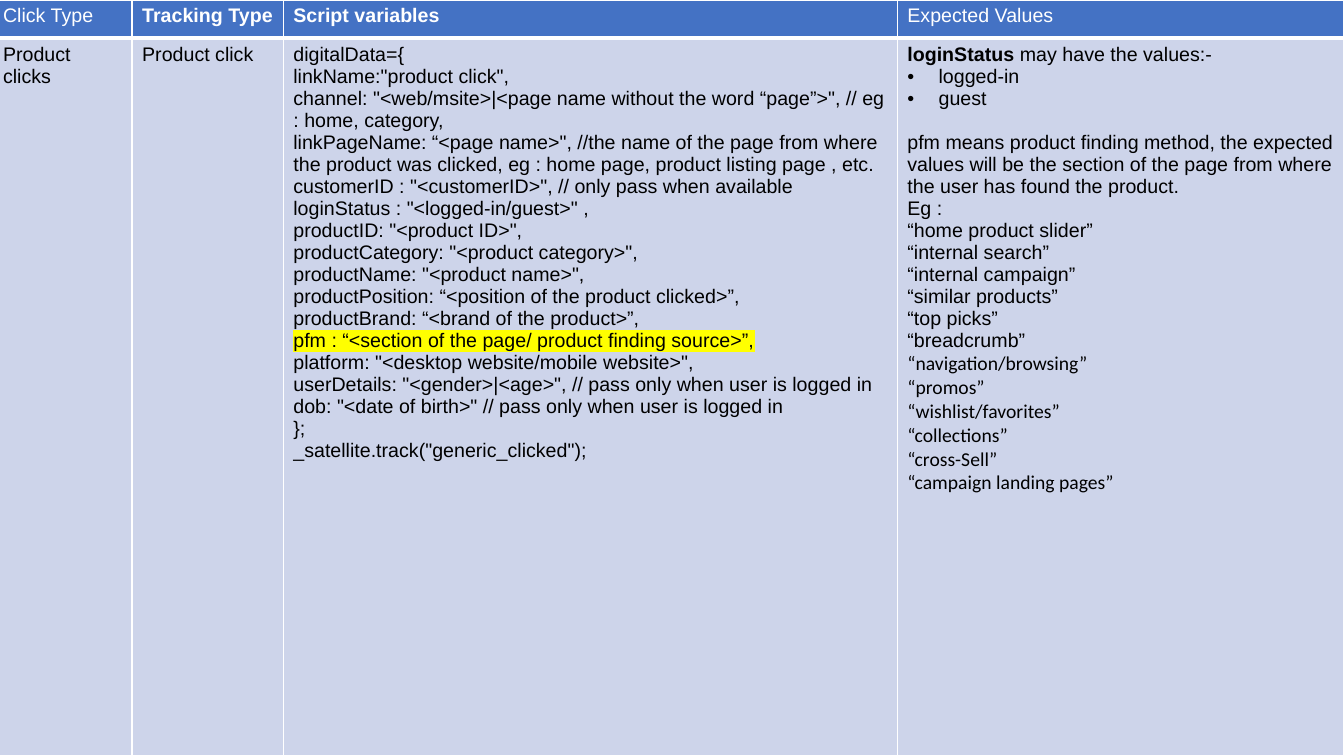
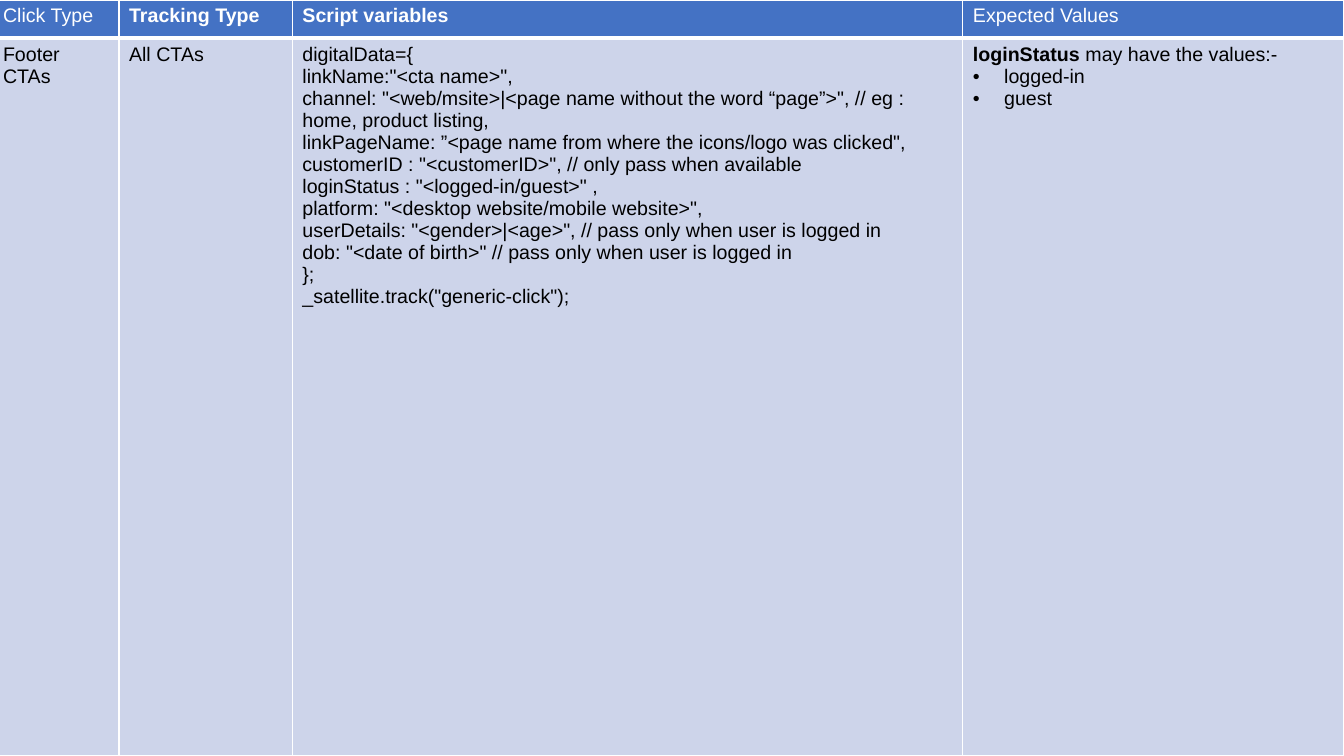
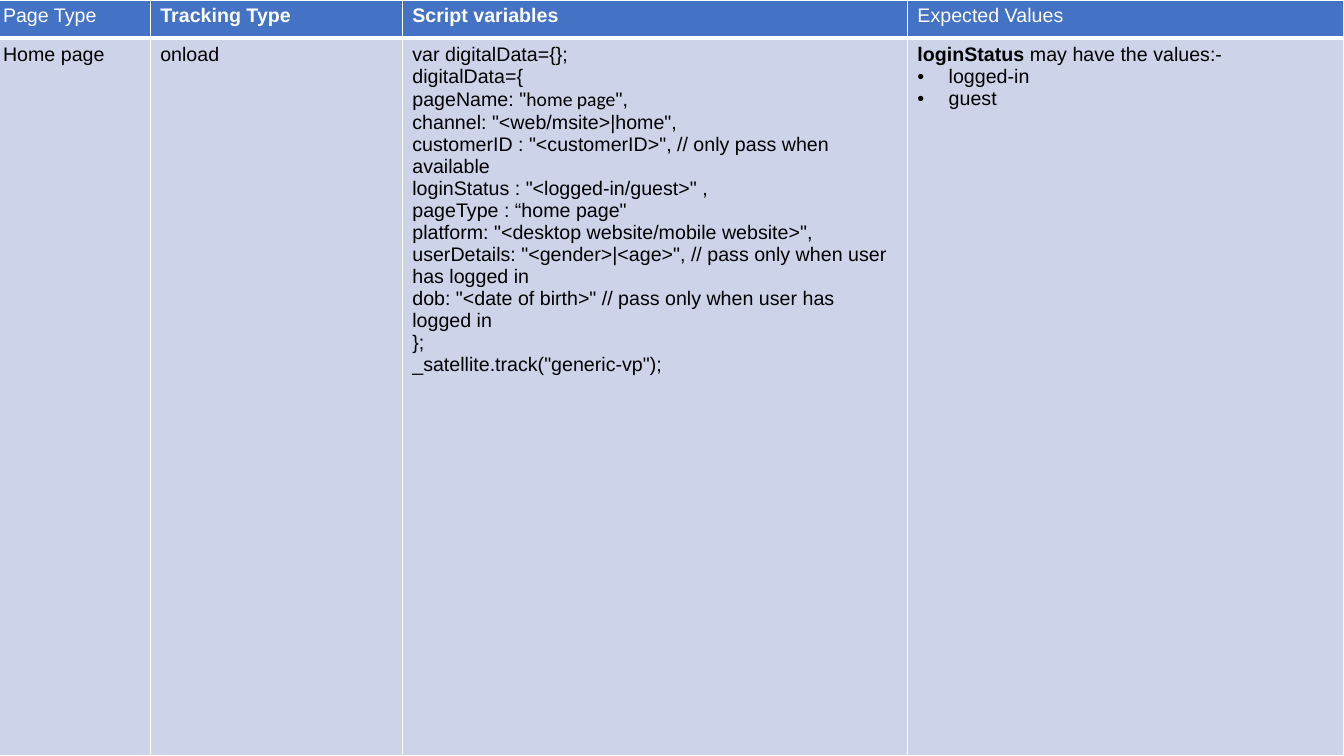
from dataclasses import dataclass

from lxml.etree import SubElement
from pptx import Presentation
from pptx.dml.color import RGBColor
from pptx.oxml import parse_xml
from pptx.oxml.ns import nsdecls, qn
from pptx.util import Pt

PX = 9144  # EMU in one px, 100 px to the inch
SLIDE_WIDTH, SLIDE_HEIGHT = 1333, 750
TABLE_BOX = (-7, 0, 1340, 750)
HEADER_HEIGHT = 38
BULLET_INDENT = 31

WHITE, BLACK = "FFFFFF", "000000"
HEADER_FILL, BODY_FILL = "4472C4", "CDD4EA"
MARKER = "FFFF00"
TEXT_FONT, ALTERNATE_FONT = "Arial", "Calibri"
TEXT_SIZE = 14
THIN, THICK = 1, 3


@dataclass
class Span:
    text: str
    bold: bool = False
    font: str = TEXT_FONT
    highlight: str = ""


@dataclass
class Line:
    spans: list
    bullet: bool = False
    space_before: int = 0


def plain(*texts, font=TEXT_FONT):
    return [Line([Span(text, font=font)]) for text in texts]


def visitor_lines(state):
    """Lines on platform and user; state is the verb before 'logged in'."""
    return plain(
        'platform: "<desktop website/mobile website>",',
        f'userDetails: "<gender>|<age>", // pass only when user {state} logged in',
        f'dob: "<date of birth>" // pass only when user {state} logged in',
        "};",
    )


ACCOUNT_LINES = plain(
    'customerID : "<customerID>", // only pass when available',
    'loginStatus : "<logged-in/guest>" ,',
)
LOGIN_VALUES = [
    Line([Span("loginStatus ", bold=True), Span("may have the values:-")]),
    Line([Span("logged-in")], bullet=True),
    Line([Span("guest")], bullet=True),
]

PRODUCT_VARIABLES = [
    *plain(
        "digitalData={",
        'linkName:"product click",',
        'channel: "<web/msite>|<page name without the word “page”>", // eg : home, category,',
        'linkPageName: “<page name>", //the name of the page from where the product '
        "was clicked, eg : home page, product listing page , etc.",
    ),
    *ACCOUNT_LINES,
    *plain(
        'productID: "<product ID>",',
        'productCategory: "<product category>",',
        'productName: "<product name>",',
        "productPosition: “<position of the product clicked>”,",
        "productBrand: “<brand of the product>”,",
    ),
    Line([Span("pfm : “<section of the page/ product finding source>”,", highlight=MARKER)]),
    *visitor_lines("is"),
    *plain('_satellite.track("generic_clicked");'),
]
FINDING_METHODS = [
    Line(
        [Span("pfm means product finding method, the expected values will be the section "
              "of the page from where the user has found the product.")],
        space_before=16,
    ),
    *plain(
        "Eg :",
        "“home product slider”",
        "“internal search”",
        "“internal campaign”",
        "“similar products”",
        "“top picks”",
        "“breadcrumb”",
    ),
    *plain(
        "“navigation/browsing”",
        "“promos”",
        "“wishlist/favorites”",
        "“collections”",
        "“cross-Sell”",
        "“campaign landing pages”",
        font=ALTERNATE_FONT,
    ),
]
FOOTER_VARIABLES = [
    *plain(
        "digitalData={",
        'linkName:"<cta name>",',
        'channel: "<web/msite>|<page name without the word “page”>", '
        "// eg : home, product listing,",
        'linkPageName: ”<page name from where the icons/logo was clicked",',
    ),
    *ACCOUNT_LINES,
    *visitor_lines("is"),
    *plain('_satellite.track("generic-click");'),
]
HOME_VARIABLES = [
    *plain("var digitalData={};", "digitalData={"),
    Line([Span('pageName: "'), Span("home page", font=ALTERNATE_FONT), Span('",')]),
    *plain('channel: "<web/msite>|home",'),
    *ACCOUNT_LINES,
    *plain('pageType : “home page"'),
    *visitor_lines("has"),
    *plain('_satellite.track("generic-vp");'),
]

# first heading, widths of all columns but the last, body cells
PAGES = [
    ("Click Type", (138, 150, 609),
     [plain("Product clicks"), plain("Product click"), PRODUCT_VARIABLES,
      LOGIN_VALUES + FINDING_METHODS]),
    ("Click Type", (125, 172, 665),
     [plain("Footer CTAs"), plain("All CTAs"), FOOTER_VARIABLES, LOGIN_VALUES]),
    ("Page Type", (156, 250, 501),
     [plain("Home page"), plain("onload"), HOME_VARIABLES, LOGIN_VALUES]),
]


def rgb(value):
    return RGBColor.from_string(value)


def add_bullet(para):
    properties = para._p.get_or_add_pPr()
    properties.set("marL", str(BULLET_INDENT * PX))
    properties.set("indent", str(-BULLET_INDENT * PX))
    color = SubElement(properties, qn("a:buClr"))
    SubElement(color, qn("a:srgbClr"), val=BLACK)
    SubElement(properties, qn("a:buFont"), typeface=TEXT_FONT)
    SubElement(properties, qn("a:buChar"), char="•")


def add_span(para, span, color):
    run = para.add_run()
    run.text = span.text
    run.font.size = Pt(TEXT_SIZE)
    run.font.bold = span.bold
    run.font.color.rgb = rgb(color)
    run.font.name = span.font
    if span.highlight:
        run._r.rPr.find(qn("a:solidFill")).addnext(parse_xml(
            f'<a:highlight {nsdecls("a")}><a:srgbClr val="{span.highlight}"/></a:highlight>'))


def set_borders(cell, top, bottom):
    properties = cell._tc.get_or_add_tcPr()
    for side, width in (("L", THIN), ("R", THIN), ("T", top), ("B", bottom)):
        properties.append(parse_xml(
            f'<a:ln{side} {nsdecls("a")} w="{Pt(width)}"><a:solidFill>'
            f'<a:srgbClr val="{WHITE}"/></a:solidFill></a:ln{side}>'))


def fill_cell(cell, lines, color, fill, top, bottom):
    set_borders(cell, top, bottom)
    cell.fill.solid()
    cell.fill.fore_color.rgb = rgb(fill)
    frame = cell.text_frame
    for index, line in enumerate(lines):
        para = frame.add_paragraph() if index else frame.paragraphs[0]
        if line.space_before:
            para.space_before = Pt(line.space_before)
        if line.bullet:
            add_bullet(para)
        for span in line.spans:
            add_span(para, span, color)


def add_tracking_table(page, box, first_heading, widths, body):
    left, top, width, height = box
    table = page.shapes.add_table(
        2, len(body), left * PX, top * PX, width * PX, height * PX).table
    table.first_row = table.horz_banding = False
    for column, size in zip(table.columns, (*widths, width - sum(widths))):
        column.width = size * PX
    for row, size in zip(table.rows, (HEADER_HEIGHT, height - HEADER_HEIGHT)):
        row.height = size * PX
    headings = [
        Span(first_heading),
        Span("Tracking Type", bold=True),
        Span("Script variables", bold=True),
        Span("Expected Values"),
    ]
    for index, (heading, lines) in enumerate(zip(headings, body)):
        fill_cell(table.cell(0, index), [Line([heading])], WHITE, HEADER_FILL, THIN, THICK)
        fill_cell(table.cell(1, index), lines, BLACK, BODY_FILL, THICK, THIN)


def main():
    deck = Presentation()
    deck.slide_width, deck.slide_height = SLIDE_WIDTH * PX, SLIDE_HEIGHT * PX
    for first_heading, widths, body in PAGES:
        page = deck.slides.add_slide(deck.slide_layouts[6])
        add_tracking_table(page, TABLE_BOX, first_heading, widths, body)
    deck.save("out.pptx")


if __name__ == "__main__":
    main()
